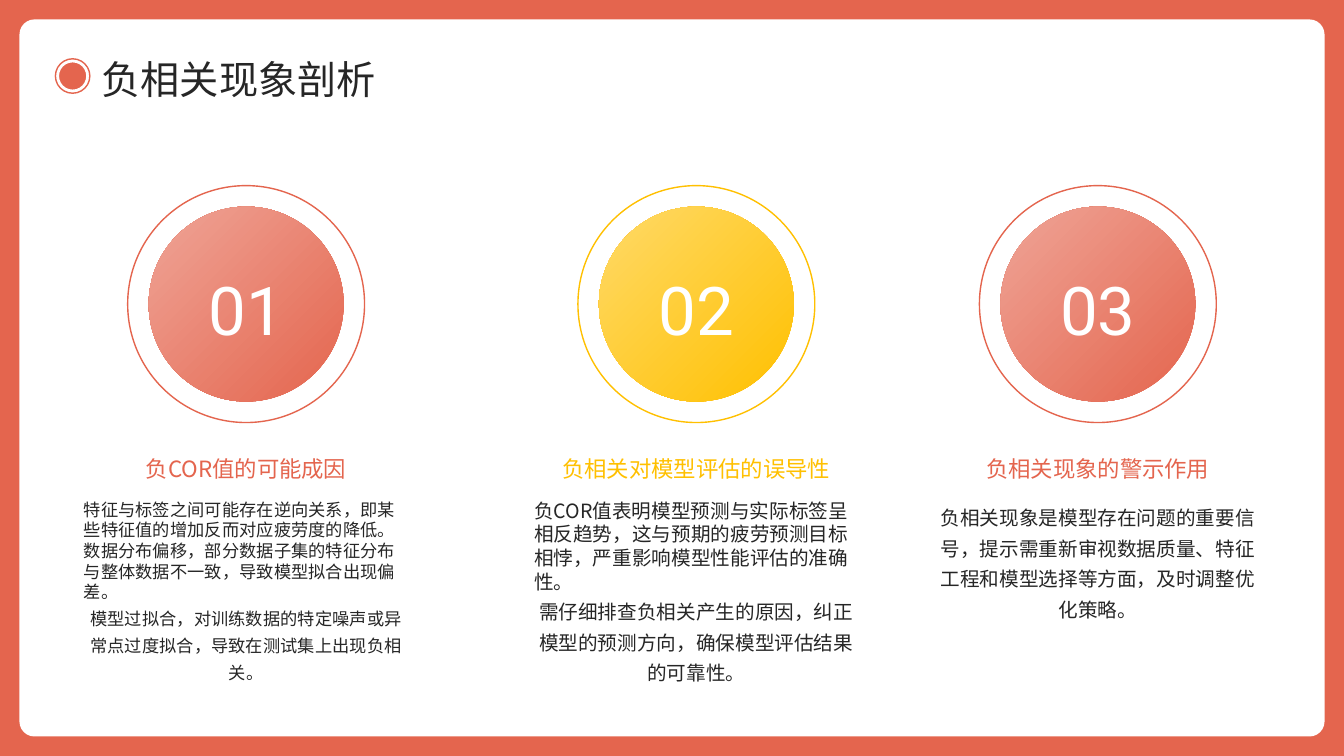
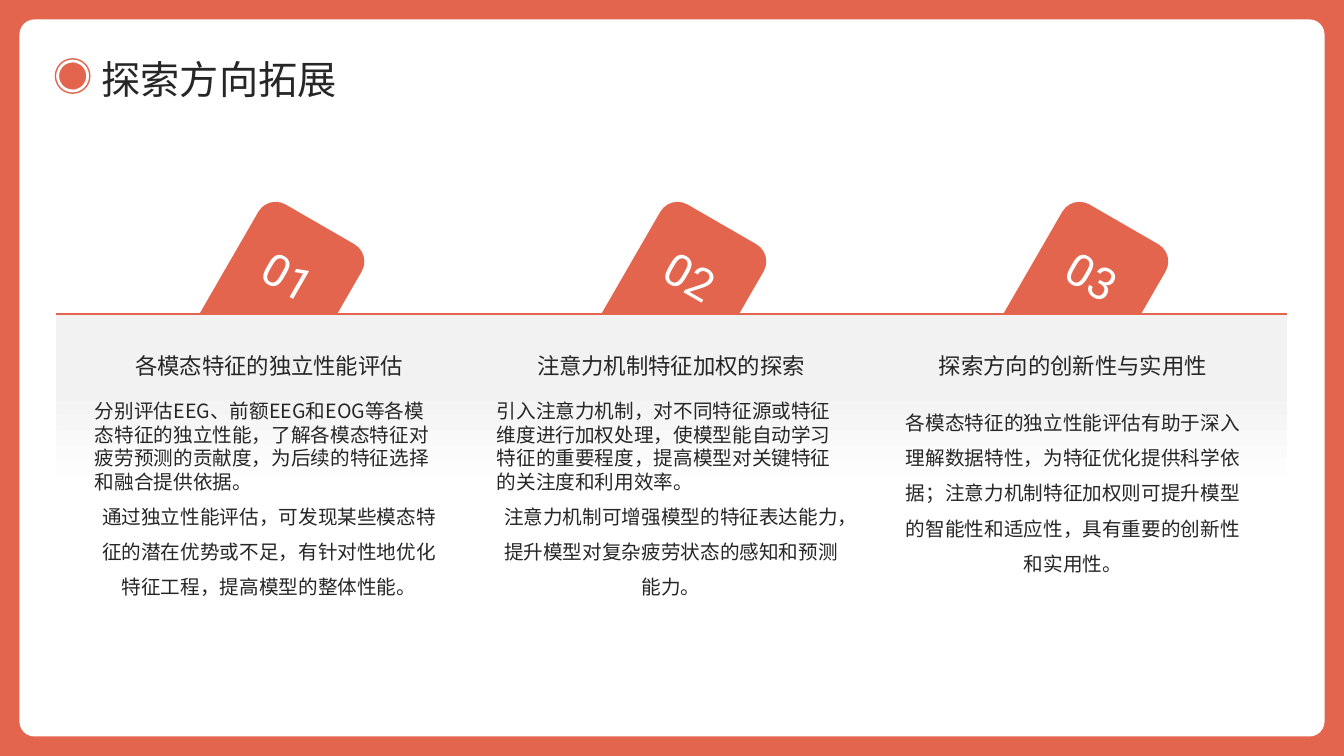
from pptx import Presentation, util as u
from pptx.dml.color import RGBColor
from pptx.enum import shapes, text
from pptx.oxml.ns import qn
from lxml import etree

COLORS = {
    "coral": "E4654E", "coral_light": "EFA395",
    "gold": "FFC000", "gold_light": "FFD966",
    "ink": "262626", "white": "FFFFFF", "mist": "F2F2F2",
}
CJK, LATIN = "Noto Sans CJK SC", "Roboto"
SHAPE, ALIGN, ANCHOR = shapes.MSO_SHAPE, text.PP_ALIGN, text.MSO_ANCHOR

presentation = Presentation()
presentation.slide_width, presentation.slide_height = u.Emu(12192000), u.Emu(6858000)
CELL = presentation.slide_width / 160  # grid of 160 columns by 90 rows


def add_shape(slide, kind, box, fill=None, line=None, gradient=None, angle=0):
    """Place a preset shape; gradient is a list of (position, color) stops."""
    shape = slide.shapes.add_shape(kind, *[round(n * CELL) for n in box])
    shape.shadow.inherit = False
    if gradient:
        shape.fill.gradient()
        shape.fill.gradient_angle = angle
        for stop, (position, color) in zip(shape.fill.gradient_stops, gradient):
            stop.position = position
            stop.color.rgb = RGBColor.from_string(COLORS[color])
    elif fill:
        shape.fill.solid()
        shape.fill.fore_color.rgb = RGBColor.from_string(COLORS[fill])
    else:
        shape.fill.background()
    if line:
        shape.line.color.rgb = RGBColor.from_string(COLORS[line])
        shape.line.width = u.Pt(1)
    else:
        shape.line.fill.background()
    return shape


def add_text(slide, content, box, size, color="ink", font=CJK, align=ALIGN.CENTER,
             spacing=1.1, lead_spacing=None, anchor=ANCHOR.TOP, inset=True,
             rotation=0, shape=None):
    """Write paragraphs; all but the last are left aligned with lead_spacing."""
    left, top, width, height = [round(n * CELL) for n in box]
    if shape is None:
        shape = slide.shapes.add_textbox(left, top, width, height)
    shape.left, shape.top, shape.width, shape.height = left, top, width, height
    shape.rotation = rotation
    frame = shape.text_frame
    frame.word_wrap = True
    frame.auto_size = text.MSO_AUTO_SIZE.NONE
    frame.vertical_anchor = anchor
    if not inset:
        frame.margin_left = frame.margin_right = frame.margin_top = frame.margin_bottom = 0
    frame.text = content
    for paragraph in frame.paragraphs:
        is_last = paragraph.text == frame.paragraphs[-1].text
        paragraph.alignment = align if is_last else ALIGN.LEFT
        paragraph.line_spacing = spacing if is_last else lead_spacing
        run = paragraph.runs[0]
        run.font.size = u.Pt(size)
        run.font.color.rgb = RGBColor.from_string(COLORS[color])
        run.font.name = font
        etree.SubElement(run.font._element, qn("a:ea")).set("typeface", font)


# Shared frame, title and title marker
slides = []
for title in ("负相关现象剖析", "探索方向拓展"):
    slide = presentation.slides.add_slide(presentation.slide_layouts[5])
    slide.background.fill.solid()
    slide.background.fill.fore_color.rgb = RGBColor.from_string(COLORS["coral"])
    panel = add_shape(slide, SHAPE.ROUNDED_RECTANGLE, (2.4, 2.4, 155.2, 85.2), "white", "white")
    panel.adjustments[0] = 0.02
    add_shape(slide, SHAPE.OVAL, (6.6, 7, 4.1, 4.1), "white", "coral")
    add_shape(slide, SHAPE.OVAL, (6.95, 7.35, 3.4, 3.4), "coral", "white")
    add_text(slide, title, (12.1, 6.1, 142.6, 6.1), 28, align=ALIGN.LEFT,
             anchor=ANCHOR.MIDDLE, inset=False, shape=slide.shapes.title)
    # Keep the title above the panel
    slide.shapes._spTree.append(slide.shapes.title._element)
    slides.append(slide)
causes, directions = slides

# Slide 1: three ringed discs: left, color, body size, heading, body
topics = [
    (8.8, "coral", 12.3, "负COR值的可能成因",
     "特征与标签之间可能存在逆向关系，即某些特征值的增加反而对应疲劳度的降低。\n"
     "数据分布偏移，部分数据子集的特征分布与整体数据不一致，导致模型拟合出现偏差。\n"
     "模型过拟合，对训练数据的特定噪声或异常点过度拟合，导致在测试集上出现负相关。"),
    (62.4, "gold", 14, "负相关对模型评估的误导性",
     "负COR值表明模型预测与实际标签呈相反趋势，这与预期的疲劳预测目标相悖，严重影响模型性能评估的准确性。\n"
     "需仔细排查负相关产生的原因，纠正模型的预测方向，确保模型评估结果的可靠性。"),
    (110.2, "coral", 14, "负相关现象的警示作用",
     "负相关现象是模型存在问题的重要信号，提示需重新审视数据质量、特征工程和模型选择等方面，及时调整优化策略。"),
]
TOPIC_WIDTH, DISC, RING, DISC_MIDDLE = 41, 23.2, 28.2, 36.2
for number, (left, color, size, heading, body) in enumerate(topics, 1):
    center = left + TOPIC_WIDTH / 2
    add_shape(causes, SHAPE.FLOWCHART_CONNECTOR,
              (center - DISC / 2, DISC_MIDDLE - DISC / 2, DISC, DISC),
              gradient=[(0, color), (0.98, color + "_light")], angle=135)
    add_shape(causes, SHAPE.FLOWCHART_CONNECTOR,
              (center - RING / 2, DISC_MIDDLE - RING / 2, RING, RING), line=color)
    add_text(causes, f"{number:02}", (center - 8.6, 29.9, 17.2, 12.7), 48, "white", LATIN,
             anchor=ANCHOR.MIDDLE)
    add_text(causes, heading, (left, 51.2, TOPIC_WIDTH, 7.8), 16, color,
             spacing=u.Pt(27), anchor=ANCHOR.MIDDLE)
    add_text(causes, body, (left, 58.8, TOPIC_WIDTH, 23), size,
             spacing=u.Pt(size * 1.56), lead_spacing=u.Pt(size * 1.2))

# Slide 2: three tilted cards tucked behind a fading band
ideas = [
    ("各模态特征的独立性能评估",
     "分别评估EEG、前额EEG和EOG等各模态特征的独立性能，了解各模态特征对疲劳预测的贡献度，为后续的特征选择和融合提供依据。\n"
     "通过独立性能评估，可发现某些模态特征的潜在优势或不足，有针对性地优化特征工程，提高模型的整体性能。"),
    ("注意力机制特征加权的探索",
     "引入注意力机制，对不同特征源或特征维度进行加权处理，使模型能自动学习特征的重要程度，提高模型对关键特征的关注度和利用效率。\n"
     "注意力机制可增强模型的特征表达能力，提升模型对复杂疲劳状态的感知和预测能力。"),
    ("探索方向的创新性与实用性",
     "各模态特征的独立性能评估有助于深入理解数据特性，为特征优化提供科学依据；注意力机制特征加权则可提升模型的智能性和适应性，具有重要的创新性和实用性。"),
]
IDEA_WIDTH = 41.5
idea_lefts = [11.3 + 47.85 * column for column in range(len(ideas))]
for left in idea_lefts:
    card = add_shape(directions, SHAPE.ROUNDED_RECTANGLE, (left + 13.3, 25, 14.2, 25.6), "coral")
    card.rotation = 30

# Band and its top rule
BAND_LEFT, BAND_TOP, BAND_WIDTH = 6.7, 37.35, 146.5
add_shape(directions, SHAPE.RECTANGLE, (BAND_LEFT, BAND_TOP, BAND_WIDTH, 33.1),
          gradient=[(0.37, "white"), (0.74, "mist")], angle=90)
rule = directions.shapes.add_connector(
    shapes.MSO_CONNECTOR.STRAIGHT,
    *[round(n * CELL) for n in (BAND_LEFT, BAND_TOP, BAND_LEFT + BAND_WIDTH, BAND_TOP)])
rule.line.color.rgb = RGBColor.from_string(COLORS["coral"])
rule.line.width = u.Pt(1.5)
etree.SubElement(rule._element.spPr, qn("a:effectLst"))

# Card numbers, headings and bodies
for number, (left, (heading, body)) in enumerate(zip(idea_lefts, ideas), 1):
    add_text(directions, f"{number:02}", (left + 18.8, 29.1, 9.5, 5.6), 32, "white", LATIN,
             inset=False, rotation=30)
    add_text(directions, heading, (left, 40.8, IDEA_WIDTH, 4.2), 16,
             spacing=u.Pt(27), anchor=ANCHOR.MIDDLE, inset=False)
    add_text(directions, body, (left, 47.5, IDEA_WIDTH, 25), 14,
             spacing=u.Pt(25.2), lead_spacing=u.Pt(16.8), inset=False)

presentation.save("out.pptx")
